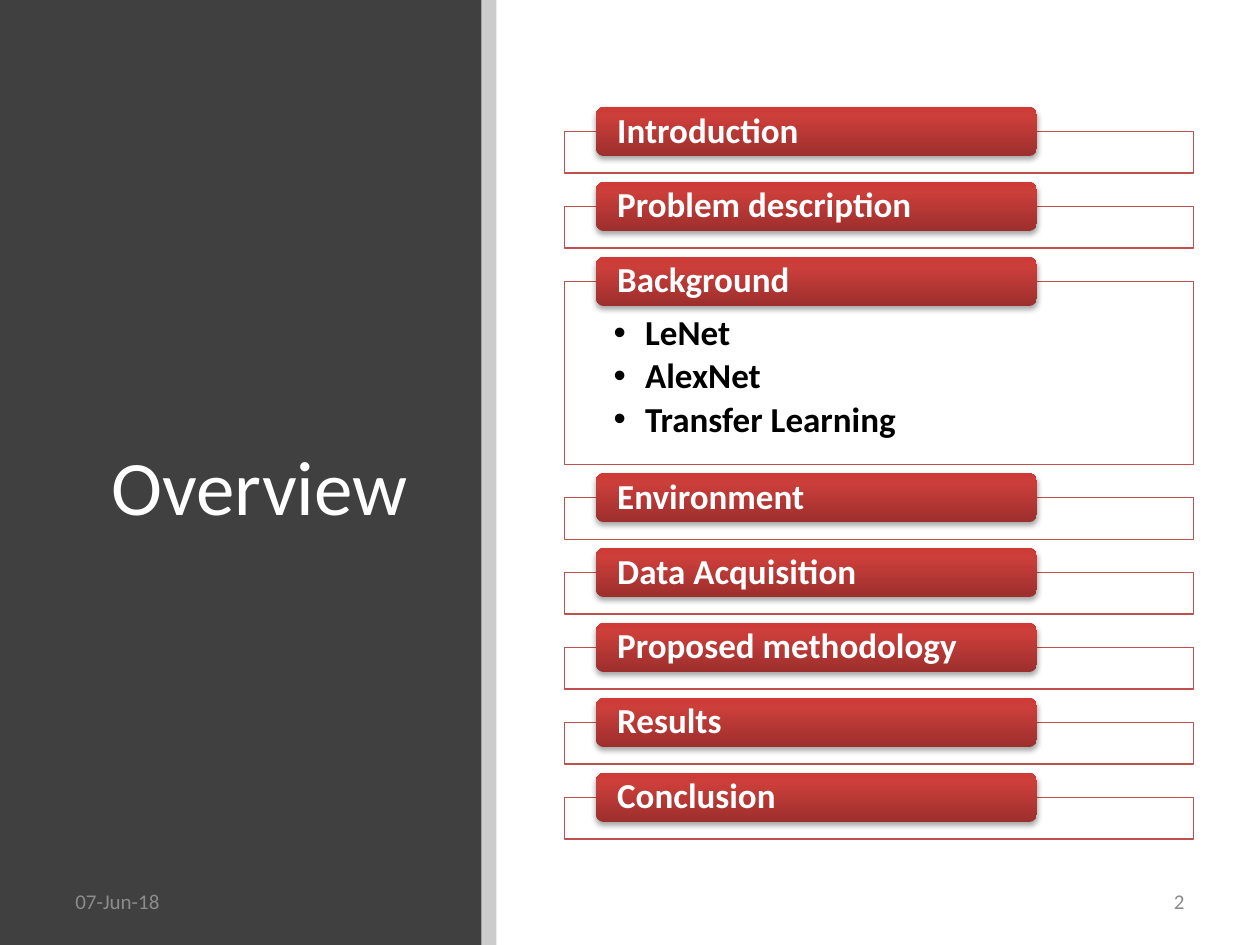
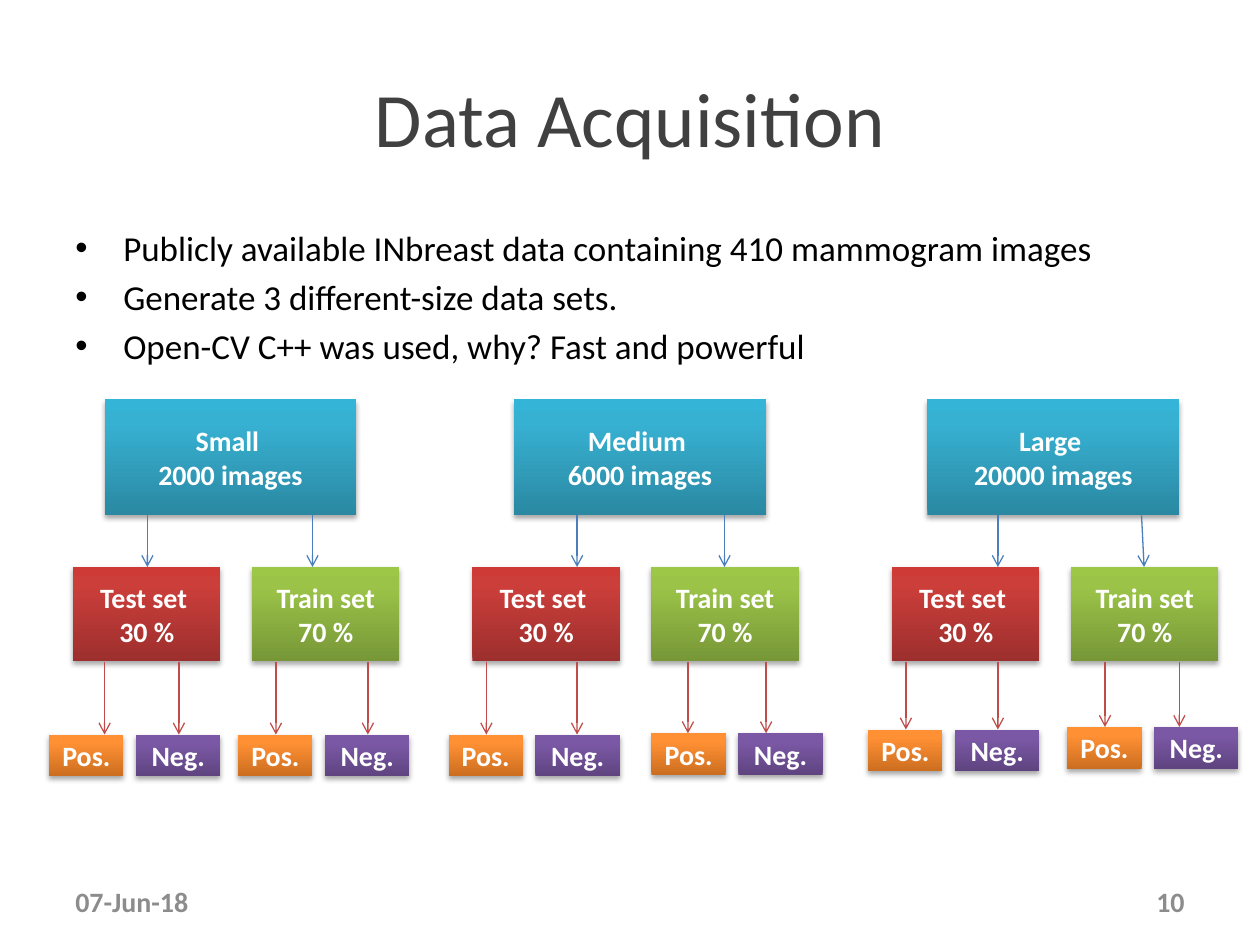
from copy import deepcopy

from lxml import etree
from pptx import Presentation
from pptx.dml.color import RGBColor
from pptx.enum import shapes, text
from pptx.oxml import ns
from pptx import util as u

FONT = "Calibri"
DATE = "07-Jun-18"
WHITE = RGBColor(0xFF, 0xFF, 0xFF)
BLACK = RGBColor(0x00, 0x00, 0x00)
CHARCOAL = RGBColor(0x40, 0x40, 0x40)
GREY = RGBColor(0x8C, 0x8C, 0x8C)
OUTLINE_RED = RGBColor(0xC0, 0x50, 0x4D)
ARROW_BLUE = RGBColor(0x4B, 0x7E, 0xBC)
ARROW_RED = RGBColor(0xBF, 0x4C, 0x48)


def shades(*codes):
    return [RGBColor.from_string(code) for code in codes]


BLUE = shades("2A88A2", "37B1D2", "34B4D6")
RED = shades("9C2F2D", "CB3E3A", "CE3B37")
GREEN = shades("779737", "9BC348", "9DC746")
ORANGE = shades("CC6E20", "FF9034", "FF9136")
PURPLE = shades("5F4480", "7B58A6", "7C57A8")

LEFT, CENTER, RIGHT = text.PP_ALIGN.LEFT, text.PP_ALIGN.CENTER, text.PP_ALIGN.RIGHT
TOP, MIDDLE = text.MSO_ANCHOR.TOP, text.MSO_ANCHOR.MIDDLE
RECT = shapes.MSO_SHAPE.RECTANGLE
ROUNDED = shapes.MSO_SHAPE.ROUNDED_RECTANGLE


def add_xml(parent, tag, **attributes):
    return etree.SubElement(parent, ns.qn(tag), attributes)


class Deck:
    """Slides in one shared style, with a method for each kind of element."""

    def __init__(self):
        self.prs = Presentation()
        self.prs.slide_width, self.prs.slide_height = u.Inches(10), u.Inches(7.5)
        self.slide = None

    def new_slide(self):
        self.slide = self.prs.slides.add_slide(self.prs.slide_layouts[6])

    def set_lines(self, frame, lines, size, color, bold=False, align=LEFT, anchor=MIDDLE,
                  insets=(0.1, 0.05, 0.1, 0.05), indent=0, spacing=None, before=0, after=0):
        frame.word_wrap = True
        frame.vertical_anchor = anchor
        (frame.margin_left, frame.margin_top,
         frame.margin_right, frame.margin_bottom) = map(u.Inches, insets)
        for index, line in enumerate(lines):
            paragraph = frame.add_paragraph() if index else frame.paragraphs[0]
            paragraph.alignment = align
            paragraph.line_spacing = spacing
            paragraph.space_before, paragraph.space_after = u.Pt(before), u.Pt(after)
            if indent:
                properties = paragraph._p.get_or_add_pPr()
                properties.set("marL", str(u.Inches(indent)))
                properties.set("indent", str(-u.Inches(indent)))
                add_xml(properties, "a:buFont", typeface="Arial")
                add_xml(properties, "a:buChar", char="•")
            run = paragraph.add_run()
            run.text = line
            font = run.font
            font.name, font.size, font.bold = FONT, u.Pt(size), bold
            font.color.rgb = color

    def text(self, box, lines, size, color, **style):
        label = self.slide.shapes.add_textbox(*map(u.Inches, box))
        self.set_lines(label.text_frame, lines, size, color, **style)

    def title(self, box, words, color):
        self.text(box, [words], 44, color, align=CENTER)

    def footer(self, number, size, bold=False):
        for left, words, align in ((0.5, DATE, LEFT), (7.17, number, RIGHT)):
            self.text((left, 6.95, 2.33, 0.4), [words], size, GREY, bold=bold, align=align)

    def panel(self, box, fill, opacity=100, outline=None):
        panel = self.slide.shapes.add_shape(RECT, *map(u.Inches, box))
        panel.shadow.inherit = False
        panel.fill.solid()
        panel.fill.fore_color.rgb = fill
        if opacity < 100:
            color = panel._element.spPr.find(".//" + ns.qn("a:srgbClr"))
            add_xml(color, "a:alpha", val=str(opacity * 1000))
        if outline is None:
            panel.line.fill.background()
        else:
            panel.line.color.rgb = outline
            panel.line.width = u.Pt(0.75)
        return panel

    def glossy(self, box, colors, lines, size=16, kind=RECT, align=CENTER, **style):
        block = self.slide.shapes.add_shape(kind, *map(u.Inches, box))
        block.line.fill.background()
        block.fill.gradient()
        block.fill.gradient_angle = 90
        stops = block._element.spPr.find(".//" + ns.qn("a:gsLst"))
        stops.insert(1, deepcopy(stops[0]))
        for stop, position, color in zip(block.fill.gradient_stops, (0, 0.8, 1), colors):
            stop.position = position
            stop.color.rgb = color
        block.shadow.inherit = False
        effects = block._element.spPr.find(ns.qn("a:effectLst"))
        shadow = add_xml(effects, "a:outerShdw", blurRad=str(u.Pt(3.1)), dist=str(u.Pt(1.8)),
                         dir="5400000", rotWithShape="0")
        add_xml(add_xml(shadow, "a:srgbClr", val="000000"), "a:alpha", val="35000")
        self.set_lines(block.text_frame, lines, size, WHITE, bold=True, align=align, **style)

    def arrow(self, start, end, color):
        arrow = self.slide.shapes.add_connector(
            shapes.MSO_CONNECTOR.STRAIGHT, *map(u.Inches, (*start, *end)))
        arrow.line.color.rgb = color
        arrow.line.width = u.Pt(0.75)
        properties = arrow._element.spPr
        add_xml(properties.find(ns.qn("a:ln")), "a:tailEnd", type="arrow")
        add_xml(properties, "a:effectLst")


def overview(deck):
    sections = {
        "Introduction": [],
        "Problem description": [],
        "Background": ["LeNet", "AlexNet", "Transfer Learning"],
        "Environment": [],
        "Data Acquisition": [],
        "Proposed methodology": [],
        "Results": [],
        "Conclusion": [],
    }
    header_height, gap = 0.39, 0.07
    deck.new_slide()
    deck.panel((0, 0, 3.82, 7.5), CHARCOAL)
    deck.panel((3.82, 0, 0.12, 7.5), BLACK, opacity=20)
    deck.title((0.69, 0.89, 2.74, 5.91), "Overview", WHITE)
    top = 0.85
    for heading, topics in sections.items():
        panel_top = top + header_height / 2
        panel_height = 1.45 if topics else 0.33
        panel = deck.panel((4.48, panel_top, 4.99, panel_height), WHITE, 90, OUTLINE_RED)
        if topics:
            deck.set_lines(panel.text_frame, topics, 20, BLACK, bold=True, anchor=TOP,
                           insets=(0.39, 0.27, 0.39, 0.16), indent=0.25, spacing=0.9, after=3)
        deck.glossy((4.73, top, 3.5, header_height), RED, [heading], 20, ROUNDED, LEFT,
                    insets=(0.15, 0, 0.15, 0), spacing=0.9)
        top = panel_top + panel_height + gap
    deck.footer("2", 12)


def data_acquisition(deck):
    data_sets = [
        ("Small ", "2000 images", 0.83, 0.58,
         [(1.17, 1.17, 0.39, 5.83, 0.83, 1.42), (2.48, 2.48, 1.89, 5.83, 2.19, 2.92)]),
        ("Medium ", "6000 images", 4.08, 3.75,
         [(4.58, 4.58, 3.56, 5.83, 3.86, 4.58), (5.75, 5.75, 5.17, 5.82, 5.46, 6.08)]),
        ("Large ", "20000 images", 7.36, 7.08,
         [(7.92, 7.92, 6.89, 5.79, 7.19, 7.92), (9.06, 9.08, 8.47, 5.77, 8.77, 9.36)]),
    ]
    splits = [(["Test set ", "30 %"], RED), (["Train set 70 %"], GREEN)]
    set_top, set_height, split_top, split_height = 3.17, 0.92, 4.5, 0.75
    deck.new_slide()
    deck.title((0.5, 0.3, 9, 1.25), "Data Acquisition", CHARCOAL)
    deck.text((0.5, 1.75, 8.92, 4.95),
              ["Publicly available INbreast data containing 410 mammogram images",
               "Generate 3 different-size data sets.",
               "Open-CV C++ was used, why? Fast and powerful"],
              20, BLACK, anchor=TOP, indent=0.38, before=4)
    for name, count, set_left, split_left, branches in data_sets:
        deck.glossy((set_left, set_top, 2, set_height), BLUE, [name, count])
        for index, (branch, (label, colors)) in enumerate(zip(branches, splits)):
            start, end, pair_left, pair_top, to_positive, to_negative = branch
            deck.glossy((split_left + 1.42 * index, split_top, 1.17, split_height), colors, label)
            deck.glossy((pair_left, pair_top, 0.59, 0.33), ORANGE, ["Pos."])
            deck.glossy((pair_left + 0.69, pair_top, 0.67, 0.33), PURPLE, ["Neg."])
            deck.arrow((start, set_top + set_height), (end, split_top), ARROW_BLUE)
            for x in (to_positive, to_negative):
                deck.arrow((x, split_top + split_height), (x, pair_top), ARROW_RED)
    deck.footer("10", 16, bold=True)


def main():
    deck = Deck()
    overview(deck)
    data_acquisition(deck)
    deck.prs.save("out.pptx")


if __name__ == "__main__":
    main()
